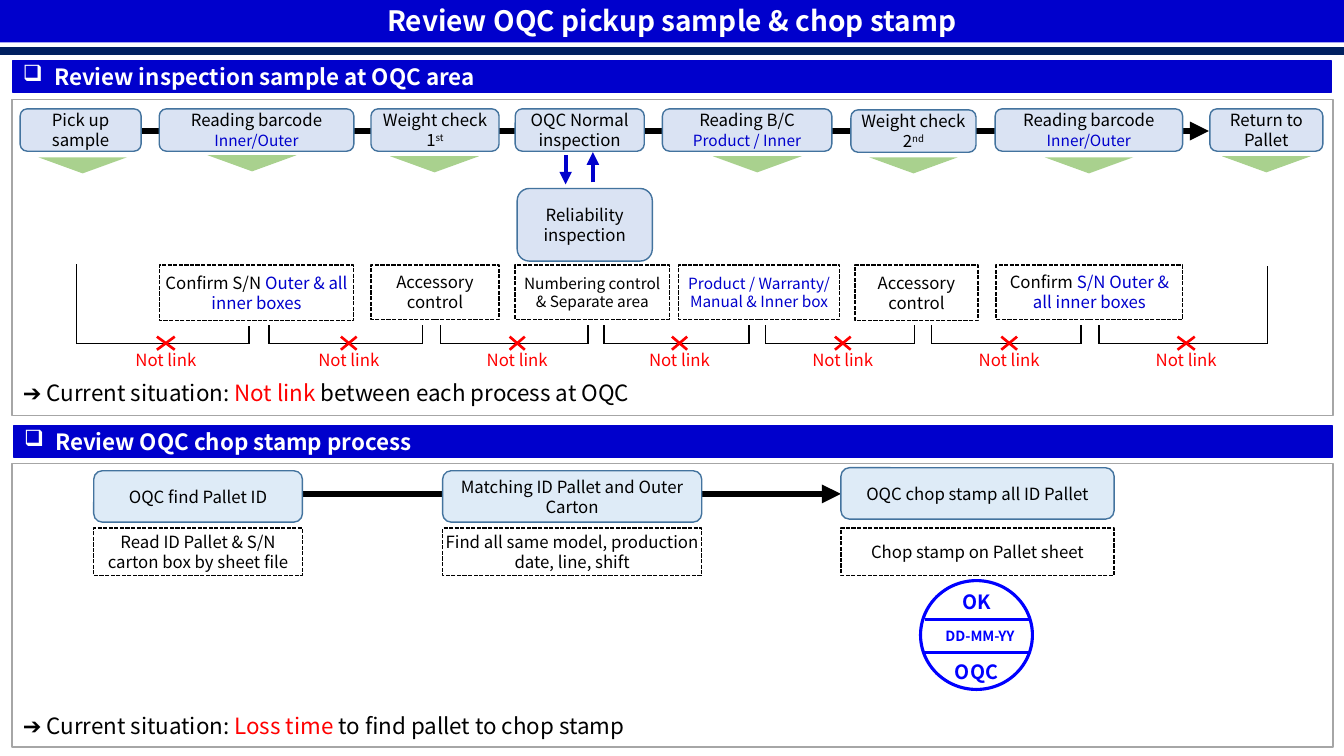
from collections import namedtuple

from lxml import etree
from pptx import Presentation
from pptx import util as u
from pptx.dml.color import RGBColor
from pptx.enum import dml, shapes, text
from pptx.oxml import ns

PX = 9144  # EMU in one px, 100 px to the inch
FONT = "Noto Sans CJK JP"
PITCH = 1.19  # line height per point of text

WHITE = RGBColor(0xFF, 0xFF, 0xFF)
BLACK = RGBColor(0x00, 0x00, 0x00)
NAVY = RGBColor(0x00, 0x20, 0x60)
BLUE = RGBColor(0x00, 0x00, 0xCC)
INK = RGBColor(0x00, 0x00, 0xFF)
RED = RGBColor(0xFF, 0x00, 0x00)
GREEN = RGBColor(0xA9, 0xD1, 0x8E)
GREY = RGBColor(0xA6, 0xA6, 0xA6)
EDGE = RGBColor(0x43, 0x73, 0x9E)
PALE = RGBColor(0xDA, 0xE3, 0xF3)
SKY = RGBColor(0xDE, 0xEB, 0xF7)

KIND = shapes.MSO_SHAPE
ALIGN = text.PP_ALIGN
Run = namedtuple("Run", "words color size base", defaults=(BLACK, None, None))

# left, top, width, paragraphs
STEPS = [
    (20, 108, 120, [[Run("Pick up sample")]]),
    (158, 108, 193, [[Run("Reading barcode "), Run("Inner/Outer", BLUE, 11)]]),
    (368, 108, 127, [[Run("Weight check 1"), Run("st", base="30000")]]),
    (511, 108, 128, [[Run("OQC Normal")], [Run("inspection")]]),
    (657, 108, 168, [[Run("Reading B/C")], [Run("Product / Inner", BLUE, 11)]]),
    (844, 109, 124, [[Run("Weight check 2"), Run("nd", base="30000")]]),
    (987, 108, 186, [[Run("Reading barcode")], [Run("Inner/Outer", BLUE, 11)]]),
    (1200, 108, 112, [[Run("Return to Pallet")]]),
]
# left, width, height, size, runs
CHECKS = [
    (158, 193, 55, 12, [Run("Confirm S/N "), Run("Outer & all inner boxes", BLUE)]),
    (368, 127, 54, 12, [Run("Accessory control")]),
    (511, 153, 54, 11, [Run("Numbering control & Separate area")]),
    (673, 160, 54, 11, [Run("Product / Warranty/ Manual & Inner box", BLUE)]),
    (848, 122, 55, 12, [Run("Accessory control")]),
    (988, 185, 54, 12, [Run("Confirm "), Run("S/N Outer & all inner boxes", BLUE)]),
]
# left, top
WEDGES = [(38, 156), (206, 154), (387, 155), (707, 155),
          (862, 156), (1036, 156), (1212, 155)]
# left, right, top of left end, top of right end
GAPS = [(76, 247, 262, 323), (267, 419, 322, 322), (437, 583, 322, 322),
        (599, 743, 322, 322), (759, 907, 322, 322), (924, 1072, 322, 322),
        (1090, 1257, 322, 264)]
# left, top, width, step, detail
STAMPS = [
    (93, 467, 207, "OQC find Pallet ID", "Read ID Pallet & S/N carton box by sheet file"),
    (439, 467, 257, "Matching ID Pallet and Outer Carton",
     "Find all same model, production date, line, shift"),
    (834, 464, 271, "OQC chop stamp all ID Pallet", "Chop stamp on Pallet sheet"),
]


def px(*nums):
    return [u.Emu(round(n * PX)) for n in nums]


def write(shape, paras, size=12, bold=False, align=ALIGN.CENTER,
          inset=(10, 5, 10, 5), anchor=text.MSO_ANCHOR.MIDDLE):
    """Fill a shape with paragraphs, each a list of runs."""
    frame = shape.text_frame
    frame.word_wrap = True
    frame.auto_size = text.MSO_AUTO_SIZE.NONE
    frame.vertical_anchor = anchor
    (frame.margin_left, frame.margin_top,
     frame.margin_right, frame.margin_bottom) = px(*inset)
    for i, runs in enumerate(paras):
        para = frame.add_paragraph() if i else frame.paragraphs[0]
        para.alignment = align
        para.line_spacing = u.Pt(round(size * PITCH, 1))
        for item in runs:
            run = para.add_run()
            run.text = item.words
            font = run.font
            font.name, font.bold = FONT, bold
            font.size = u.Pt(item.size or size)
            font.color.rgb = item.color
            if item.base:
                run._r.get_or_add_rPr().set("baseline", item.base)


def draw(slide, kind, at, fill=None, edge=None, width=1, dash=False):
    shape = slide.shapes.add_shape(kind, *px(*at))
    shape.shadow.inherit = False
    if fill is None:
        shape.fill.background()
    else:
        shape.fill.solid()
        shape.fill.fore_color.rgb = fill
    if edge is None:
        shape.line.fill.background()
    else:
        shape.line.color.rgb = edge
        shape.line.width = u.Pt(width)
    if dash:
        shape.line.dash_style = dml.MSO_LINE.SQUARE_DOT
    return shape


def link(slide, ends, color=BLACK, width=1, arrow=False):
    line = slide.shapes.add_connector(shapes.MSO_CONNECTOR.STRAIGHT, *px(*ends))
    line.line.color.rgb = color
    line.line.width = u.Pt(width)
    if arrow:
        etree.SubElement(line.line._get_or_add_ln(), ns.qn("a:tailEnd"), type="triangle")
    etree.SubElement(line._element.spPr, ns.qn("a:effectLst"))


def label(slide, at, paras, **style):
    write(slide.shapes.add_textbox(*px(*at)), paras, **style)


def step(slide, at, paras, fill=PALE, inset=(3, 0, 3, 0)):
    write(draw(slide, KIND.ROUNDED_RECTANGLE, at, fill, EDGE), paras, inset=inset)


def check(slide, at, runs, size=12):
    box = draw(slide, KIND.RECTANGLE, at, edge=BLACK, dash=True)
    write(box, [runs], size, inset=(3, 0, 3, 0))


def band(slide, left, top, words):
    """Section heading bar with a box bullet."""
    bar = draw(slide, KIND.RECTANGLE, (left, top, 1307, 32), BLUE, BLUE)
    props = bar.text_frame.paragraphs[0]._p.get_or_add_pPr()
    hang = px(31)[0]
    props.set("marL", str(hang))
    props.set("indent", str(-hang))
    etree.SubElement(props, ns.qn("a:buChar"), char="❑")
    write(bar, [[Run(words, WHITE)]], 16, True, ALIGN.LEFT)


def verdict(slide, top, fault, rest):
    runs = [Run("➔ Current situation: "), Run(fault, RED), Run(rest)]
    label(slide, (13, top, 1307, 32), [runs], size=16, align=ALIGN.LEFT)


def gap(slide, left, right, rise, fall):
    """Bracket between two checks, crossed out and labelled."""
    base, span, mid = 341, right - left, (left + right) / 2 + 3
    link(slide, (left, base, right, base))
    link(slide, (left, base, left, rise))
    link(slide, (right, base, right, fall))
    wide = round(span * 0.2)
    cross = draw(slide, KIND.MATH_MULTIPLY, (mid - wide / 2, 328, wide, 25), RED)
    cross.adjustments[0] = 0.104
    wide = round(span * 0.65)
    label(slide, (mid - wide / 2, 349, wide, 16), [[Run("Not link", RED)]])


def seal(slide):
    draw(slide, KIND.OVAL, (913, 576, 111, 108), edge=INK, width=2.25)
    for y in (615, 647):
        link(slide, (917, y, 1021, y), INK, 2.25)
    for at, words, size in [((915, 582, 108, 34), "OK", 14),
                            ((923, 620, 98, 20), "DD-MM-YY", 10),
                            ((933, 652, 71, 23), "OQC", 14)]:
        label(slide, at, [[Run(words, INK)]], size=size, bold=True,
              inset=(3, 3, 3, 0), anchor=text.MSO_ANCHOR.TOP)


def head(slide, words):
    title = slide.shapes.title
    title.left, title.top, title.width, title.height = px(0, -2, 1333, 44)
    title.fill.solid()
    title.fill.fore_color.rgb = BLUE
    write(title, [[Run(words, WHITE)]], 20, True)
    link(slide, (0, 51, 1333, 51), NAVY, 5.75)


def sample(slide):
    band(slide, 13, 60, "Review inspection sample at OQC area")
    draw(slide, KIND.RECTANGLE, (12, 99, 1310, 313), edge=GREY)
    link(slide, (131, 130, 1199, 130), width=4.5, arrow=True)
    for left, top, wide, paras in STEPS:
        step(slide, (left, top, wide, 42), paras)
    link(slide, (561, 154, 561, 183), BLUE, 3, True)
    link(slide, (588, 181, 588, 151), BLUE, 3, True)
    step(slide, (513, 187, 134, 72), [[Run("Reliability inspection")]])
    for left, wide, high, size, runs in CHECKS:
        check(slide, (left, 263, wide, high), runs, size)
    for left, top in WEDGES:
        draw(slide, KIND.ISOSCELES_TRIANGLE, (left, top, 88, 16), GREEN).rotation = 180
    for ends in GAPS:
        gap(slide, *ends)
    verdict(slide, 374, "Not link ", "between each process at OQC")


def stamp(slide):
    band(slide, 14, 422, "Review OQC chop stamp process")
    draw(slide, KIND.RECTANGLE, (12, 460, 1310, 281), edge=GREY)
    link(slide, (104, 490, 834, 490), width=4.5, arrow=True)
    for left, top, wide, words, note in STAMPS:
        step(slide, (left, top, wide, 51), [[Run(words)]], SKY, (10, 5, 10, 5))
        check(slide, (left, 524, wide, 47), [Run(note)])
    seal(slide)
    verdict(slide, 704, "Loss time ", "to find pallet to chop stamp")


def main():
    deck = Presentation()
    deck.slide_width, deck.slide_height = px(1333, 750)
    slide = deck.slides.add_slide(deck.slide_layouts[5])
    head(slide, "Review OQC pickup sample & chop stamp")
    sample(slide)
    stamp(slide)
    deck.save("out.pptx")


if __name__ == "__main__":
    main()
